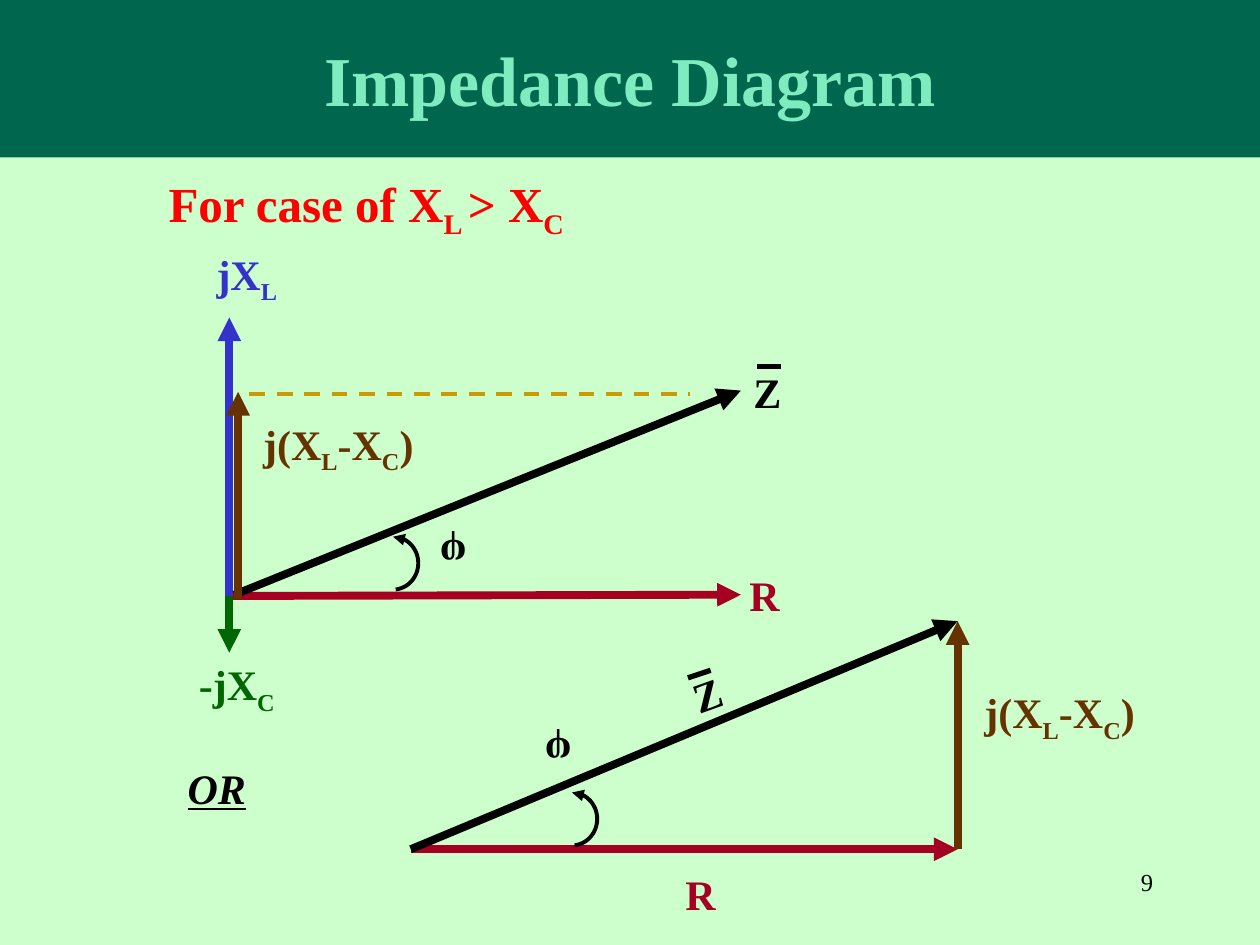
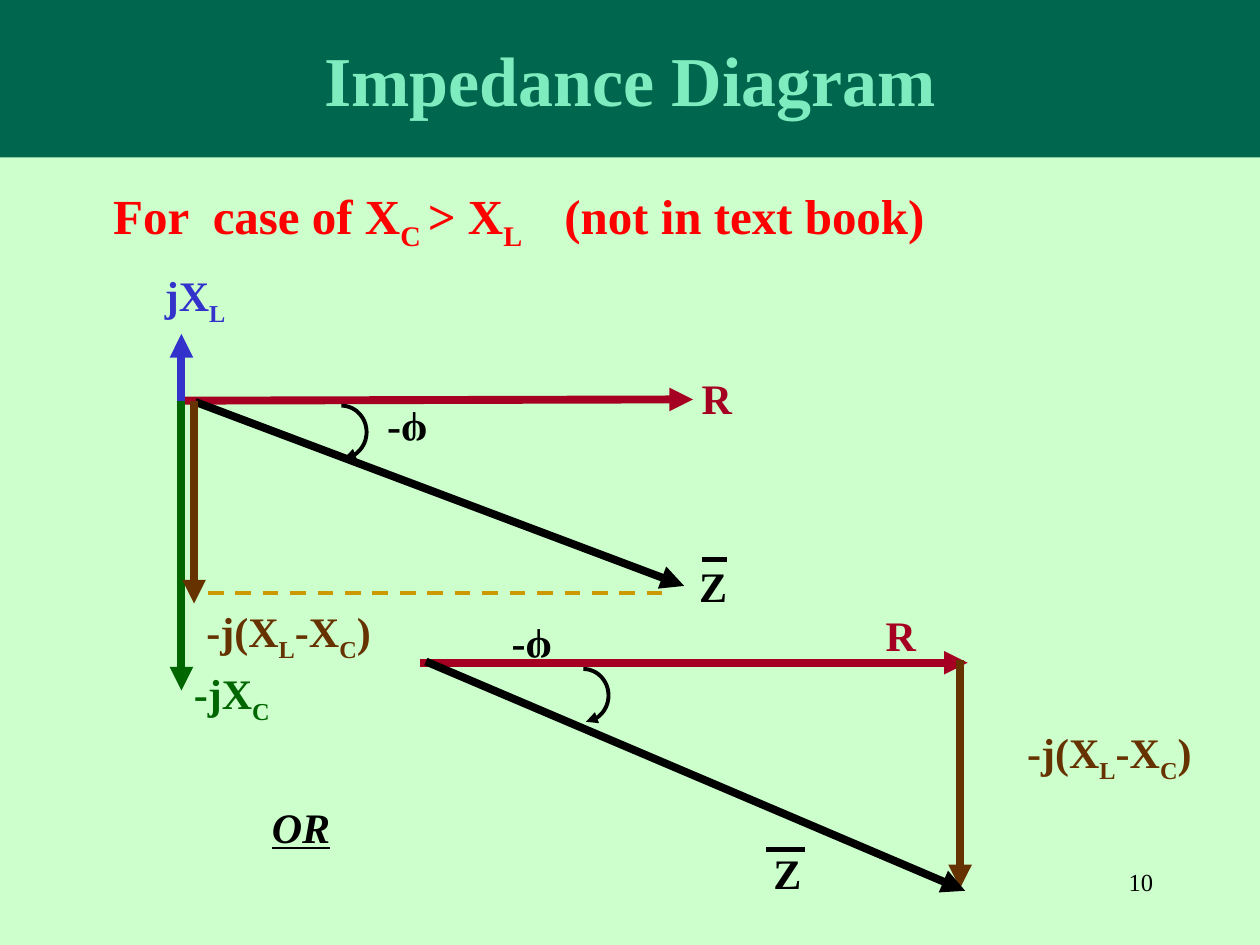
"""Builds two slides of impedance diagrams."""
from math import cos, radians, sin

from lxml.etree import SubElement
from pptx import Presentation
from pptx.dml.color import RGBColor
from pptx.enum.dml import MSO_LINE
from pptx.enum.shapes import MSO_CONNECTOR, MSO_SHAPE
from pptx.enum.text import MSO_ANCHOR, PP_ALIGN
from pptx.oxml.ns import qn
from pptx.util import Inches, Pt

FONT = "Times New Roman"
PALE = RGBColor(0xCC, 0xFF, 0xCC)
TEAL = RGBColor(0x00, 0x66, 0x4D)
MINT = RGBColor(0x7F, 0xEC, 0xBF)
RED = RGBColor(0xFF, 0x00, 0x00)
WINE = RGBColor(0xA5, 0x00, 0x21)
BLUE = RGBColor(0x33, 0x33, 0xCC)
GREEN = RGBColor(0x00, 0x66, 0x00)
BROWN = RGBColor(0x66, 0x33, 0x00)
GOLD = RGBColor(0xCC, 0x99, 0x00)
BLACK = RGBColor(0x00, 0x00, 0x00)
MID, RIGHT = PP_ALIGN.CENTER, PP_ALIGN.RIGHT


class Deck:
    def __init__(self):
        self.prs = Presentation()
        self.prs.slide_width = Inches(10)
        self.prs.slide_height = Inches(7.5)

    def page(self, title, number):
        self.slide = self.prs.slides.add_slide(self.prs.slide_layouts[6])
        self.shapes = self.slide.shapes
        fill = self.slide.background.fill
        fill.solid()
        fill.fore_color.rgb = PALE
        band = self.shapes.add_shape(MSO_SHAPE.RECTANGLE, 0, 0, Inches(10), Inches(1.25))
        band.shadow.inherit = False
        band.fill.solid()
        band.fill.fore_color.rgb = TEAL
        band.line.fill.background()
        band.text_frame.vertical_anchor = MSO_ANCHOR.MIDDLE
        self.runs(band.text_frame, title, MINT, 40, MID)
        self.text((7.17, 6.83, 2.08, 0.5), number, BLACK, 14, RIGHT, bold=False)

    def runs(self, frame, text, color, size, align=None, bold=True, slant=False):
        """Adds runs split at bars, every second one a subscript."""
        para = frame.paragraphs[0]
        para.alignment = align
        for i, part in enumerate(text.split("|")):
            run = para.add_run()
            run.text = part
            font = run.font
            font.name, font.size, font.bold = FONT, Pt(size), bold
            font.color.rgb = color
            if slant:
                font.italic = font.underline = True
            if i % 2:
                run._r.get_or_add_rPr().set("baseline", "-25000")
        return para

    def text(self, box, text, color=BLACK, size=24, align=None, turn=0, tabs=(), **look):
        shape = self.shapes.add_textbox(*map(Inches, box))
        shape.rotation = turn
        shape.text_frame.word_wrap = True
        para = self.runs(shape.text_frame, text, color, size, align, **look)
        if tabs:
            stops = SubElement(para._p.get_or_add_pPr(), qn("a:tabLst"))
            for stop in tabs:
                SubElement(stops, qn("a:tab"), pos=str(Inches(stop)), algn="l")

    def tip(self, shape, end):
        SubElement(shape.line._get_or_add_ln(), qn("a:" + end), type="triangle")

    def line(self, start, end, color=BLACK, width=3, dash=None):
        line = self.shapes.add_connector(MSO_CONNECTOR.STRAIGHT, *map(Inches, start + end))
        line.line.color.rgb = color
        line.line.width = Pt(width)
        if dash:
            line.line.dash_style = dash
        SubElement(line._element.spPr, qn("a:effectLst"))
        return line

    def arrow(self, start, end, color=BLACK):
        self.tip(self.line(start, end, color, 4.5), "tailEnd")

    def dashes(self, start, end):
        self.line(start, end, GOLD, 2.25, MSO_LINE.DASH)

    def arc(self, left, top, end):
        """Draws an angle mark that bulges right, with a tip at one end."""
        dots = [(Inches(left + 0.2 * cos(radians(a))), Inches(top + 0.21 + 0.21 * sin(radians(a))))
                for a in range(-90, 85, 6)]
        pen = self.shapes.build_freeform(*dots[0])
        pen.add_line_segments(dots[1:], close=False)
        shape = pen.convert_to_shape()
        shape.shadow.inherit = False
        shape.fill.background()
        shape.line.color.rgb = BLACK
        shape.line.width = Pt(2.25)
        self.tip(shape, end)


def lag(deck):
    """Draws the case where the inductor wins."""
    deck.page("Impedance Diagram", "9")
    deck.text((1.24, 1.33, 4.24, 0.6), "For case of X|L |> X|C", RED, 28)
    deck.arrow((1.82, 4.73), (5.88, 4.72), WINE)
    deck.text((5.85, 4.47, 0.73, 0.51), "R", WINE)
    deck.arrow((1.82, 4.73), (1.82, 2.52), BLUE)
    deck.text((1.62, 1.92, 0.95, 0.56), "jX|L", BLUE)
    deck.arrow((1.82, 4.73), (1.82, 5.18), GREEN)
    deck.text((1.48, 5.18, 1.09, 0.47), "-jX|C", GREEN)
    deck.text((5.88, 2.86, 0.72, 0.59), "Z")
    deck.text((3.47, 4.11, 0.33, 0.56), "φ", turn=180)
    deck.arrow((1.86, 4.72), (5.88, 3.1))
    deck.line((6.01, 2.91), (6.2, 2.91))
    deck.text((1.39, 6, 0.67, 0.5), "OR", slant=True)
    deck.arrow((3.26, 6.74), (7.6, 6.74), WINE)
    deck.arrow((7.6, 6.74), (7.6, 4.93), BROWN)
    deck.arrow((3.26, 6.74), (7.6, 4.93))
    deck.text((5.23, 6.84, 0.66, 0.5), "R", WINE, align=MID)
    deck.text((4.1, 5.74, 0.66, 0.5), "φ", align=MID, turn=180)
    deck.text((7.69, 5.4, 1.44, 0.5), "j(X|L|-X|C|)", BROWN, align=MID)
    deck.text((5.15, 5.26, 0.92, 0.5), "Z", align=MID, turn=340.2)
    deck.line((5.46, 5.38), (5.64, 5.32))
    deck.arrow((1.89, 4.75), (1.89, 3.11), BROWN)
    deck.text((1.99, 3.27, 1.44, 0.5), "j(X|L|-X|C|)", BROWN)
    deck.dashes((1.98, 3.13), (5.48, 3.13))
    deck.arc(3.12, 4.26, "headEnd")
    deck.arc(4.54, 6.29, "headEnd")


def lead(deck):
    """Draws the case where the capacitor wins."""
    deck.page("Impedance Diagram", "10")
    deck.text((0.8, 1.42, 7.35, 0.67), "For\tcase of X|C |> X|L|\t(not in text book)",
              RED, 28, tabs=(0.79, 3.58))
    deck.arrow((1.44, 3.18), (5.5, 3.17), WINE)
    deck.text((5.47, 2.91, 0.73, 0.51), "R", WINE)
    deck.arrow((1.44, 3.18), (1.44, 2.65), BLUE)
    deck.text((1.21, 2.09, 0.95, 0.56), "jX|L", BLUE)
    deck.arrow((1.44, 3.18), (1.44, 5.48), GREEN)
    deck.text((1.44, 5.25, 1.09, 0.47), "-jX|C", GREEN)
    deck.text((2.87, 3.17, 0.62, 0.56), "φ-", turn=180)
    deck.arrow((1.55, 3.19), (5.43, 4.65))
    deck.text((5.45, 4.4, 0.56, 0.59), "Z")
    deck.line((5.57, 4.44), (5.77, 4.44))
    deck.arrow((1.54, 3.18), (1.54, 4.79), BROWN)
    deck.text((1.54, 4.76, 1.56, 0.51), "-j(X|L|-X|C|)", BROWN)
    deck.text((2.06, 6.31, 0.67, 0.5), "OR", slant=True)
    deck.arrow((3.33, 5.26), (7.68, 5.26), WINE)
    deck.arrow((7.62, 5.24), (7.62, 7.05), BROWN)
    deck.arrow((3.38, 5.25), (7.66, 7.07))
    deck.text((6.82, 4.79, 0.66, 0.5), "R", WINE, align=MID)
    deck.text((3.8, 4.95, 0.84, 0.5), "φ-", align=MID, turn=180)
    deck.text((7.81, 5.72, 1.99, 0.51), "-j(X|L|-X|C|)", BROWN, align=MID)
    deck.text((6.04, 6.68, 0.42, 0.5), "Z")
    deck.line((6.08, 6.74), (6.39, 6.74))
    deck.dashes((1.65, 4.71), (5.26, 4.71))
    deck.arc(2.71, 3.22, "tailEnd")
    deck.arc(4.63, 5.31, "tailEnd")


deck = Deck()
lag(deck)
lead(deck)
deck.prs.save("out.pptx")
